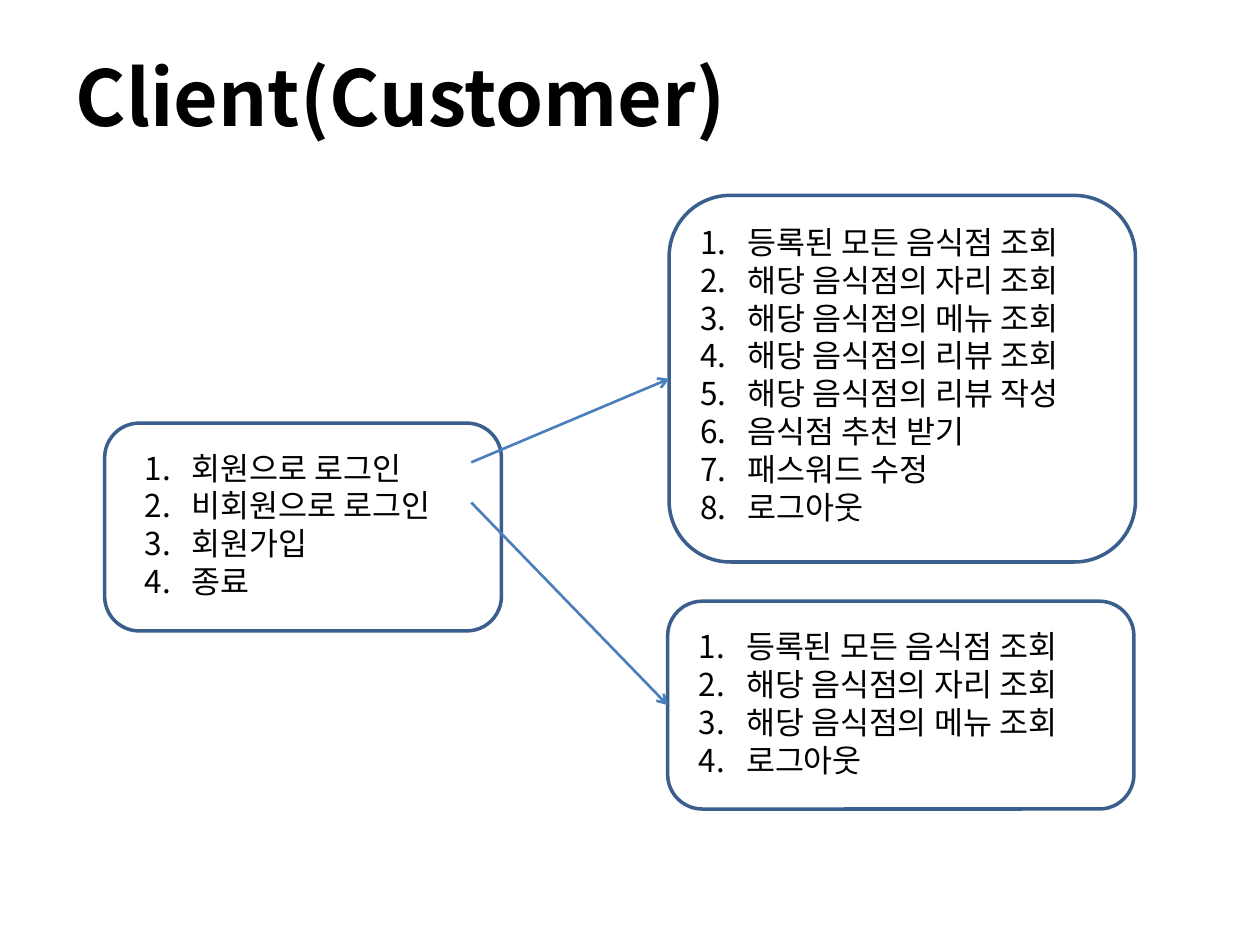
from lxml.etree import SubElement
from pptx import Presentation
from pptx.dml.color import RGBColor
from pptx.enum.shapes import MSO_CONNECTOR as Connector, MSO_SHAPE as Shape
from pptx.enum.text import MSO_ANCHOR as Anchor, MSO_AUTO_SIZE as AutoSize, PP_ALIGN as Align
from pptx.oxml.ns import qn
from pptx.util import Cm, Pt

FONT = "Noto Sans CJK KR"
BLACK = RGBColor(0x00, 0x00, 0x00)
WHITE = RGBColor(0xFF, 0xFF, 0xFF)
BORDER = RGBColor(0x3A, 0x5F, 0x8C)
ARROW = RGBColor(0x4B, 0x7E, 0xBC)

LINE_HEIGHT = 0.77
TEXT_MARGINS = 0.25
NUMBER_INDENT = Cm(0.95)

LOGIN_MENU = ["회원으로 로그인", "비회원으로 로그인", "회원가입", "종료"]
BROWSE_MENU = ["등록된 모든 음식점 조회", "해당 음식점의 자리 조회", "해당 음식점의 메뉴 조회"]
MEMBER_MENU = BROWSE_MENU + [
    "해당 음식점의 리뷰 조회",
    "해당 음식점의 리뷰 작성",
    "음식점 추천 받기",
    "패스워드 수정",
    "로그아웃",
]
GUEST_MENU = BROWSE_MENU + ["로그아웃"]


def add_span(para, text, size, bold=False):
    span = para.add_run()
    span.text = text
    span.font.name = FONT
    span.font.size = Pt(size)
    span.font.bold = bold
    span.font.color.rgb = BLACK
    SubElement(span.font._element, qn("a:ea"), typeface=FONT)


def number_paragraph(para):
    properties = para._p.get_or_add_pPr()
    properties.set("marL", str(NUMBER_INDENT))
    properties.set("indent", str(-NUMBER_INDENT))
    SubElement(properties, qn("a:buFont"), typeface="+mj-lt")
    SubElement(properties, qn("a:buAutoNum"), type="arabicPeriod")


def set_title(page, text):
    title = page.shapes.title
    title.left, title.top, title.width, title.height = Cm(1.27), Cm(0.33), Cm(22.86), Cm(3.18)
    frame = title.text_frame
    frame.auto_size = AutoSize.NONE
    frame.vertical_anchor = Anchor.MIDDLE
    para = frame.paragraphs[0]
    para.alignment = Align.LEFT
    add_span(para, text, 44, bold=True)


def add_menu(page, left, top, width, height, inset, text_width, items):
    group = page.shapes.add_group_shape()
    panel = group.shapes.add_shape(
        Shape.ROUNDED_RECTANGLE, Cm(left), Cm(top), Cm(width), Cm(height)
    )
    panel.shadow.inherit = False
    panel.fill.solid()
    panel.fill.fore_color.rgb = WHITE
    panel.line.color.rgb = BORDER
    panel.line.width = Pt(2)

    inset_left, inset_top = inset
    text_height = TEXT_MARGINS + LINE_HEIGHT * len(items)
    box = group.shapes.add_textbox(
        Cm(left + inset_left), Cm(top + inset_top), Cm(text_width), Cm(text_height)
    )
    frame = box.text_frame
    frame.word_wrap = False
    frame.auto_size = AutoSize.SHAPE_TO_FIT_TEXT
    for index, item in enumerate(items):
        para = frame.add_paragraph() if index else frame.paragraphs[0]
        number_paragraph(para)
        add_span(para, item, 18)
    return panel


def add_arrow(page, start_x, start_y, target):
    arrow = page.shapes.add_connector(
        Connector.STRAIGHT,
        Cm(start_x), Cm(start_y),
        target.left, target.top + target.height // 2,
    )
    arrow.line.color.rgb = ARROW
    arrow.line.width = Pt(1.5)
    SubElement(arrow.line._get_or_add_ln(), qn("a:tailEnd"), type="arrow")
    SubElement(arrow._element.spPr, qn("a:effectLst"))


def main():
    deck = Presentation()
    deck.slide_width, deck.slide_height = Cm(25.4), Cm(19.05)
    page = deck.slides.add_slide(deck.slide_layouts.get_by_name("Title Only"))

    set_title(page, "Client(Customer)")
    add_menu(page, 2.11, 8.53, 8, 4.19, (0.56, 0.39), 6.83, LOGIN_MENU)
    members = add_menu(page, 13.49, 3.94, 9.4, 7.39, (0.38, 0.43), 8.56, MEMBER_MENU)
    guests = add_menu(page, 13.46, 12.12, 9.4, 4.19, (0.38, 0.4), 8.56, GUEST_MENU)
    add_arrow(page, 9.5, 9.32, members)
    add_arrow(page, 9.5, 10.13, guests)

    deck.save("out.pptx")


if __name__ == "__main__":
    main()
